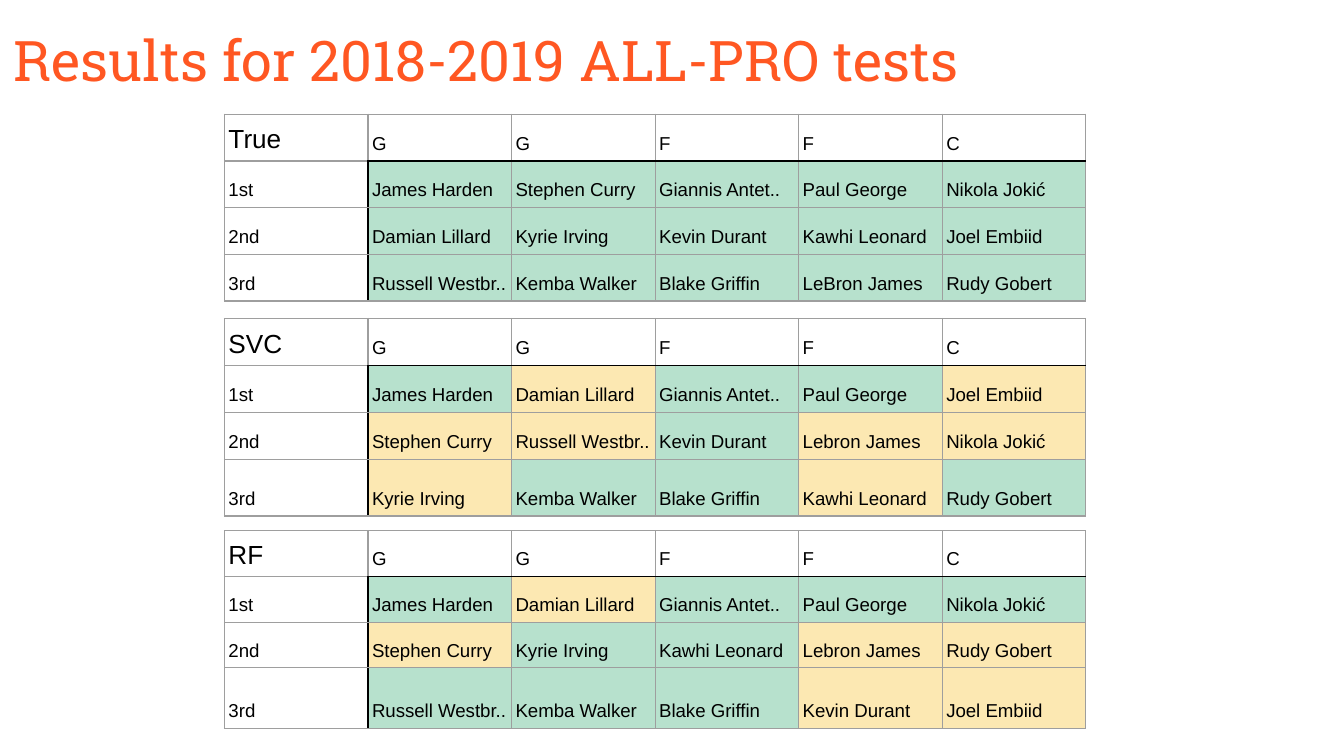
import pptx
import pptx.dml.color
import pptx.enum.text
import pptx.oxml
import pptx.oxml.ns
import pptx.util

Inches = pptx.util.Inches
RGBColor = pptx.dml.color.RGBColor
ANCHOR = pptx.enum.text.MSO_ANCHOR

ORANGE = RGBColor(0xFF, 0x57, 0x22)
BLACK = RGBColor(0x00, 0x00, 0x00)
GRAY = RGBColor(0x9E, 0x9E, 0x9E)
GREEN = RGBColor(0xB7, 0xE1, 0xCD)
YELLOW = RGBColor(0xFC, 0xE8, 0xB2)

POSITIONS = ["G", "G", "F", "F", "C"]
RANKS = ["1st", "2nd", "3rd"]
TRUE_TEAMS = [
    ["James Harden", "Stephen Curry", "Giannis Antet..", "Paul George", "Nikola Jokić"],
    ["Damian Lillard", "Kyrie Irving", "Kevin Durant", "Kawhi Leonard", "Joel Embiid"],
    ["Russell Westbr..", "Kemba Walker", "Blake Griffin", "LeBron James", "Rudy Gobert"],
]
SVC_TEAMS = [
    ["James Harden", "Damian Lillard", "Giannis Antet..", "Paul George", "Joel Embiid"],
    ["Stephen Curry", "Russell Westbr..", "Kevin Durant", "Lebron James", "Nikola Jokić"],
    ["Kyrie Irving", "Kemba Walker", "Blake Griffin", "Kawhi Leonard", "Rudy Gobert"],
]
RF_TEAMS = [
    ["James Harden", "Damian Lillard", "Giannis Antet..", "Paul George", "Nikola Jokić"],
    ["Stephen Curry", "Kyrie Irving", "Kawhi Leonard", "Lebron James", "Rudy Gobert"],
    ["Russell Westbr..", "Kemba Walker", "Blake Griffin", "Kevin Durant", "Joel Embiid"],
]
# Name, top, row heights and teams of each table
TABLES = [
    ("True", 0.85, [1.39 / 4] * 4, TRUE_TEAMS),
    ("SVC", 2.37, [0.35, 0.35, 0.35, 0.42], SVC_TEAMS),
    ("RF", 3.95, [0.34, 0.34, 0.34, 0.45], RF_TEAMS),
]


def write_text(text_frame, text, size=10, font="Arial", color=BLACK, spacing=1.15):
    paragraph = text_frame.paragraphs[0]
    paragraph.alignment = pptx.enum.text.PP_ALIGN.LEFT
    paragraph.line_spacing = spacing
    run = paragraph.add_run()
    run.text = text
    run.font.size = pptx.util.Pt(size)
    run.font.name = font
    run.font.color.rgb = color


def set_borders(cell, colors):
    properties = cell._tc.get_or_add_tcPr()
    for side in ("L", "R", "T", "B"):
        properties.append(pptx.oxml.parse_xml(
            f'<a:ln{side} {pptx.oxml.ns.nsdecls("a")} w="9525"><a:solidFill>'
            f'<a:srgbClr val="{colors.get(side, GRAY)}"/></a:solidFill></a:ln{side}>'))


# Widescreen slide, 16 to 9
presentation = pptx.Presentation()
presentation.slide_width = Inches(10)
presentation.slide_height = Inches(10 * 9 / 16)
slide = presentation.slides.add_slide(presentation.slide_layouts[5])

# Title
title = slide.shapes.title
title.left, title.top = Inches(0), Inches(0.09)
title.width, title.height = Inches(9.32), Inches(0.63)
title_frame = title.text_frame
title_frame.word_wrap = True
title_frame.auto_size = pptx.enum.text.MSO_AUTO_SIZE.NONE
title_frame.vertical_anchor = ANCHOR.TOP
title_frame.margin_left = title_frame.margin_right = Inches(0.1)
title_frame.margin_top = title_frame.margin_bottom = Inches(0.1)
write_text(title_frame, "Results for 2018-2019 ALL-PRO tests",
           size=30, font="Roboto Slab", color=ORANGE, spacing=1.0)

# True teams and the two predictions
for name, top, heights, teams in TABLES:
    rows = [[name] + POSITIONS] + [[rank] + team for rank, team in zip(RANKS, teams)]
    table = slide.shapes.add_table(len(rows), len(rows[0]), Inches(1.67), Inches(top),
                                   Inches(6.41), Inches(sum(heights))).table
    table.first_row = False
    table.horz_banding = False
    for row_index, row in enumerate(rows):
        table.rows[row_index].height = Inches(heights[row_index])
        for column_index, text in enumerate(row):
            cell = table.cell(row_index, column_index)
            cell.vertical_anchor = ANCHOR.BOTTOM
            cell.margin_left = cell.margin_right = Inches(0.03)
            cell.margin_top = cell.margin_bottom = Inches(0.05)
            is_corner = row_index == 0 and column_index == 0
            write_text(cell.text_frame, text, size=14 if is_corner else 10,
                       spacing=1.0 if is_corner else 1.15)

            # Black lines separate the headings from the players
            black_sides = {}
            if row_index == 0 and column_index > 0:
                black_sides["B"] = BLACK
            if row_index == 1 and column_index > 0:
                black_sides["T"] = BLACK
            if column_index == 0 and row_index > 0:
                black_sides["R"] = BLACK
            if column_index == 1 and row_index > 0:
                black_sides["L"] = BLACK
            set_borders(cell, black_sides)

            # Green marks a player placed in the right team
            if row_index == 0 or column_index == 0:
                cell.fill.background()
            else:
                cell.fill.solid()
                is_right = text in TRUE_TEAMS[row_index - 1]
                cell.fill.fore_color.rgb = GREEN if is_right else YELLOW

presentation.save("out.pptx")
